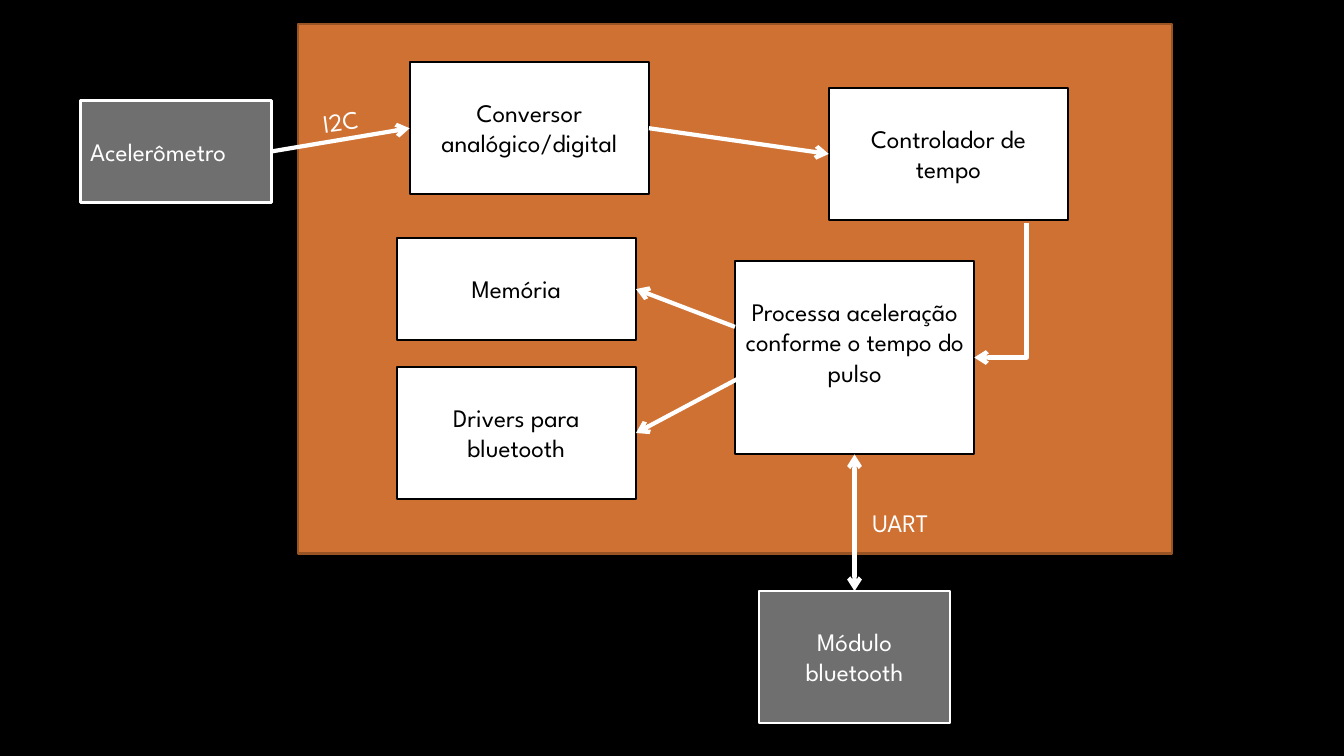
"""Block diagram of an accelerometer system with a Bluetooth link."""
import pptx
import pptx.util
import pptx.dml.color
import pptx.enum.shapes
import pptx.enum.text
import pptx.oxml
import pptx.oxml.ns

Pt = pptx.util.Pt
align = pptx.enum.text.PP_ALIGN
connectors = pptx.enum.shapes.MSO_CONNECTOR
theme = {
    "font": "League Spartan", "size": 18,
    "black": "000000", "white": "FFFFFF", "grey": "6F6F6F",
    "orange": "CF7133", "brown": "995426",
}


def color(name):
    return pptx.dml.color.RGBColor.from_string(theme[name])


def write(shape, text, ink, alignment, top):
    frame = shape.text_frame
    formats = {
        "word_wrap": True, "vertical_anchor": pptx.enum.text.MSO_ANCHOR.TOP,
        "margin_left": Pt(7.2), "margin_right": Pt(7.2),
        "margin_top": Pt(top), "margin_bottom": Pt(3.6),
    }
    for name, value in formats.items():
        setattr(frame, name, value)
    paragraph = frame.paragraphs[0]
    paragraph.alignment = alignment
    run = paragraph.add_run()
    run.text = text
    run.font.color.rgb = color(ink)
    for name, value in {"name": theme["font"], "size": Pt(theme["size"])}.items():
        setattr(run.font, name, value)


presentation = pptx.Presentation()
presentation.slide_width, presentation.slide_height = Pt(960), Pt(540)
slide = presentation.slides.add_slide(presentation.slide_layouts[6])
slide.background.fill.solid()
slide.background.fill.fore_color.rgb = color("black")

styles = {
    "panel": ("orange", "brown", 1.5, "white"),
    "module": ("grey", "white", 2, "white"),
    "block": ("white", "black", 1.5, "black"),
}
one_line, two_lines = 72.7, 94.3
module_width, block_width = 136.4, 171
boxes = [
    ("panel", "", 212.7, 17.2, 624.6, 378.2, align.CENTER),
    ("module", "Acelerômetro", 57.4, 71.8, module_width, one_line, align.LEFT),
    ("module", "Módulo bluetooth", 542.2, 422.2, module_width, two_lines, align.CENTER),
    ("block", "Conversor analógico/digital", 292.6, 44.4, block_width, two_lines, align.CENTER),
    ("block", "Controlador de tempo", 592, 62.8, block_width, two_lines, align.CENTER),
    ("block", "Memória", 283.3, 170.1, block_width, one_line, align.CENTER),
    ("block", "Processa aceleração conforme o tempo do pulso",
     525, 186.6, block_width, 138, align.CENTER),
    ("block", "Drivers para bluetooth", 283.3, 262.1, block_width, two_lines, align.CENTER),
]
for style, text, left, top, width, height, alignment in boxes:
    fill, outline, weight, ink = styles[style]
    shape = slide.shapes.add_shape(
        pptx.enum.shapes.MSO_SHAPE.RECTANGLE, Pt(left), Pt(top), Pt(width), Pt(height))
    shape.shadow.inherit = False
    shape.fill.solid()
    shape.fill.fore_color.rgb = color(fill)
    shape.line.color.rgb = color(outline)
    shape.line.width = Pt(weight)
    if text:
        write(shape, text, ink, alignment, 25.2)

arrows = [
    (connectors.STRAIGHT, 193.8, 108.2, 292.6, 91.6, ["tailEnd"]),
    (connectors.STRAIGHT, 463.6, 91.6, 592, 110, ["tailEnd"]),
    (connectors.STRAIGHT, 525, 233.5, 454.3, 206.5, ["tailEnd"]),
    (connectors.STRAIGHT, 527.5, 270.3, 454.3, 309.3, ["tailEnd"]),
    (connectors.STRAIGHT, 610.4, 324.6, 610.4, 422.2, ["headEnd", "tailEnd"]),
    (connectors.ELBOW, 666.7, 188.8, 762.5, 226.2, ["tailEnd"]),
]
for kind, start_x, start_y, end_x, end_y, ends in arrows:
    arrow = slide.shapes.add_connector(
        kind, Pt(start_x), Pt(start_y), Pt(end_x), Pt(end_y))
    arrow.line.color.rgb = color("white")
    arrow.line.width = Pt(3)
    properties = arrow._element.spPr
    line = properties.find(pptx.oxml.ns.qn("a:ln"))
    for end in ends:
        line.append(pptx.oxml.parse_xml(
            f'<a:{end} {pptx.oxml.ns.nsdecls("a")} type="arrow"/>'))
    properties.append(pptx.oxml.parse_xml(
        f'<a:effectLst {pptx.oxml.ns.nsdecls("a")}/>'))
    if kind == connectors.ELBOW:
        properties.find(pptx.oxml.ns.qn("a:prstGeom")).set("prst", "bentConnector2")
        properties.find(pptx.oxml.ns.qn("a:xfrm")).set("rot", "5400000")

for text, left, top, rotation in [("I2C", 192.2, 72, -7.8), ("UART", 592, 358.6, 0)]:
    label = slide.shapes.add_textbox(Pt(left), Pt(top), Pt(102.2), Pt(29))
    label.rotation = rotation
    write(label, text, "white", align.CENTER, 3.6)

presentation.save("out.pptx")
